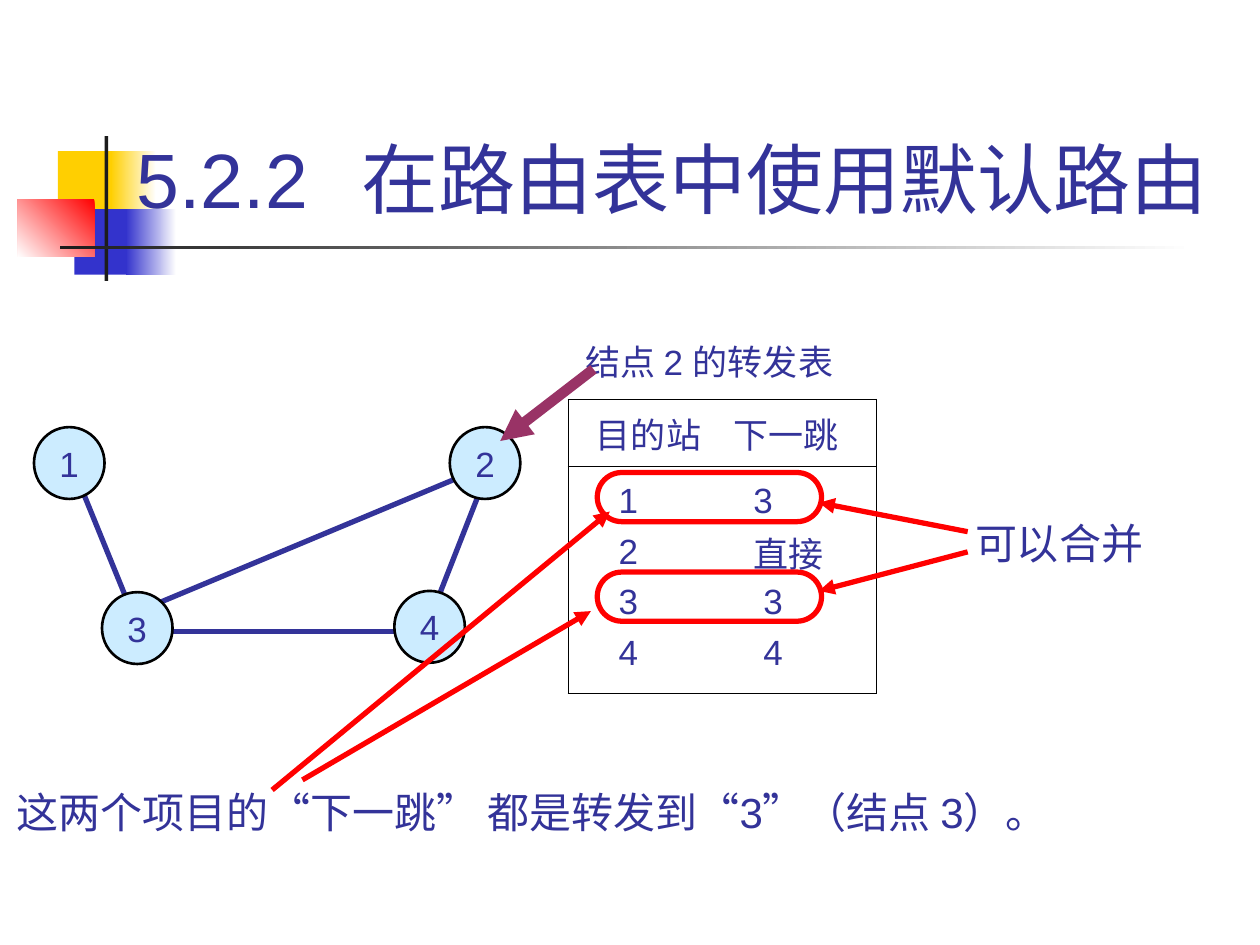
from lxml.etree import SubElement
from pptx import Presentation
from pptx.dml.color import RGBColor
from pptx.enum.shapes import MSO_CONNECTOR, MSO_SHAPE
from pptx.enum.text import MSO_ANCHOR, PP_ALIGN
from pptx.oxml.ns import qn
from pptx.util import Inches, Pt

THEME = {
    "font": "Arial", "title": 44, "note": 24, "body": 20,
    "ink": "333399", "black": "000000", "white": "FFFFFF", "dark": "1C1C1C",
    "gold": "FFCF01", "blue": "3333CC", "red": "FF0000",
    "node": "CCECFF", "plum": "993366",
}

TITLE = ("5.2.2", "在路由表中使用默认路由")
# box, start colour, end colour, angle (no end colour: solid)
DECOR = [
    ((0.46, 1.2, 0.48, 0.52), "gold", None, 0),
    ((0.88, 1.2, 0.36, 0.52), "white", "gold", 180),
    ((0.59, 1.66, 0.46, 0.52), "blue", None, 0),
    ((1, 1.66, 0.4, 0.52), "white", "blue", 180),
    ((0.14, 1.58, 0.61, 0.46), "red", "white", 225),
    ((0.83, 1.08, 0.03, 1.15), "dark", None, 0),
    ((0.48, 1.95, 9, 0.03), "white", "dark", 180),
]
LINKS = [(3.84, 3.82, 3.44, 4.84), (0.64, 3.86, 1.08, 4.94),
         (1.2, 5.01, 3.23, 5.01), (1.2, 4.81, 3.69, 3.77)]
NODES = [("1", 0.27, 3.39), ("2", 3.57, 3.39), ("4", 3.13, 4.69), ("3", 0.81, 4.7)]
NODE_SIZE = (0.56, 0.57)

ROUTES = [("目的站", "下一跳"), ("1", "3"), ("2", "直接"), ("3", "3"), ("4", "4")]
INDENTS = [(0.22, 0.22), (0.4, 0.38), (0.4, 0.38), (0.4, 0.46), (0.4, 0.46)]
ROWS = [0.53, 0.48, 0.4, 0.4, 0.52]
PADS = [(0, 0), (0.08, 0), (0, 0), (0, 0), (0, 0.12)]
COLS = [1.09, 1.36]
TABLE_AT = (4.51, 3.17)

LABELS = [
    ("结点 2 的转发表", (4.55, 2.65, 2.3, 0.44), "body"),
    ("这两个项目的“下一跳” 都是转发到“3”（结点 3）。", (0.03, 6.19, 8.7, 0.5), "note"),
    ("可以合并", (7.64, 4.06, 1.53, 0.5), "note"),
]
RINGS = [(4.74, 3.75, 1.78, 0.39), (4.74, 4.54, 1.78, 0.39)]
ARROWS = [
    ((4.71, 2.93, 3.97, 3.5), "plum", 6),
    ((2.16, 6.27, 4.84, 4.06), "red", 3),
    ((2.4, 6.19, 4.69, 4.85), "red", 3),
    ((7.68, 4.38, 6.5, 4.69), "red", 3),
    ((7.68, 4.22, 6.5, 3.99), "red", 3),
]


def color(name):
    return RGBColor.from_string(THEME[name])


def inches(vals):
    return [Inches(v) for v in vals]


def write(para, text, size):
    run = para.add_run()
    run.text = text
    run.font.name = THEME["font"]
    run.font.size = Pt(THEME[size])
    run.font.color.rgb = color("ink")
    return run


def add_form(slide, kind, box, fill=None, line=None, width=0):
    form = slide.shapes.add_shape(kind, *inches(box))
    form.shadow.inherit = False
    if fill:
        form.fill.solid()
        form.fill.fore_color.rgb = color(fill)
    else:
        form.fill.background()
    if line:
        form.line.color.rgb = color(line)
        form.line.width = Pt(width)
    else:
        form.line.fill.background()
    return form


def add_line(slide, ends, ink, width, arrow=False):
    line = slide.shapes.add_connector(MSO_CONNECTOR.STRAIGHT, *inches(ends))
    line.line.color.rgb = color(ink)
    line.line.width = Pt(width)
    props = line._element.spPr
    if arrow:
        SubElement(props.find(qn("a:ln")), qn("a:tailEnd"), type="triangle")
    SubElement(props, qn("a:effectLst"))


def add_decor(slide):
    for box, start, end, angle in DECOR:
        form = add_form(slide, MSO_SHAPE.RECTANGLE, box, start)
        if end:
            form.fill.gradient()
            form.fill.gradient_angle = angle
            for stop, name, place in zip(form.fill.gradient_stops, (start, end), (0, 1)):
                stop.color.rgb = color(name)
                stop.position = place


def add_title(slide):
    title = slide.shapes.title
    title.left, title.top, title.width, title.height = inches((0.9, 0.23, 8.88, 1.6))
    title._element.getparent().append(title._element)  # bring to front
    frame = title.text_frame
    frame.vertical_anchor = MSO_ANCHOR.BOTTOM
    para = frame.paragraphs[0]
    para.alignment = PP_ALIGN.CENTER
    number, words = TITLE
    write(para, number, "title")
    gap = write(para, " ", "title")
    gap._r.get_or_add_rPr().set("spc", "1800")
    write(para, words, "title")


def set_edges(cell, shown):
    props = cell._tc.get_or_add_tcPr()
    for spot, side in enumerate(("lnL", "lnR", "lnT", "lnB")):
        edge = props.makeelement(qn("a:" + side), {"w": str(Pt(0.75))})
        props.insert(spot, edge)
        if side in shown:
            fill = SubElement(edge, qn("a:solidFill"))
            SubElement(fill, qn("a:srgbClr"), val=THEME["black"])
        else:
            SubElement(edge, qn("a:noFill"))


def add_routes(slide):
    box = (*TABLE_AT, sum(COLS), sum(ROWS))
    table = slide.shapes.add_table(len(ROWS), len(COLS), *inches(box)).table
    table.first_row = table.horz_banding = False
    for col, width in zip(table.columns, COLS):
        col.width = Inches(width)
    last = len(ROWS) - 1
    for r, (texts, pads) in enumerate(zip(ROUTES, PADS)):
        table.rows[r].height = Inches(ROWS[r])
        for c, text in enumerate(texts):
            cell = table.cell(r, c)
            cell.fill.solid()
            cell.fill.fore_color.rgb = color("white")
            cell.vertical_anchor = MSO_ANCHOR.MIDDLE
            cell.margin_left, cell.margin_right = inches((INDENTS[r][c], 0))
            cell.margin_top, cell.margin_bottom = inches(pads)
            write(cell.text_frame.paragraphs[0], text, "body")
            shown = {"lnR" if c else "lnL"}
            if r < 2:
                shown.add("lnT")
            if r in (0, last):
                shown.add("lnB")
            set_edges(cell, shown)


def main():
    deck = Presentation()
    deck.slide_width, deck.slide_height = inches((10, 7.5))
    slide = deck.slides.add_slide(deck.slide_layouts[5])
    add_decor(slide)
    add_title(slide)
    for ends in LINKS:
        add_line(slide, ends, "ink", 3)
    for text, left, top in NODES:
        node = add_form(slide, MSO_SHAPE.OVAL, (left, top, *NODE_SIZE), "node", "black", 1.5)
        node.text_frame.word_wrap = False
        node.text_frame.vertical_anchor = MSO_ANCHOR.MIDDLE
        para = node.text_frame.paragraphs[0]
        para.alignment = PP_ALIGN.CENTER
        write(para, text, "body")
    add_routes(slide)
    for text, box, size in LABELS:
        label = slide.shapes.add_textbox(*inches(box))
        label.text_frame.word_wrap = False
        write(label.text_frame.paragraphs[0], text, size)
    for box in RINGS:
        ring = add_form(slide, MSO_SHAPE.ROUNDED_RECTANGLE, box, None, "red", 3)
        ring.adjustments[0] = 0.5
    for ends, ink, width in ARROWS:
        add_line(slide, ends, ink, width, arrow=True)
    deck.save("out.pptx")


if __name__ == "__main__":
    main()
